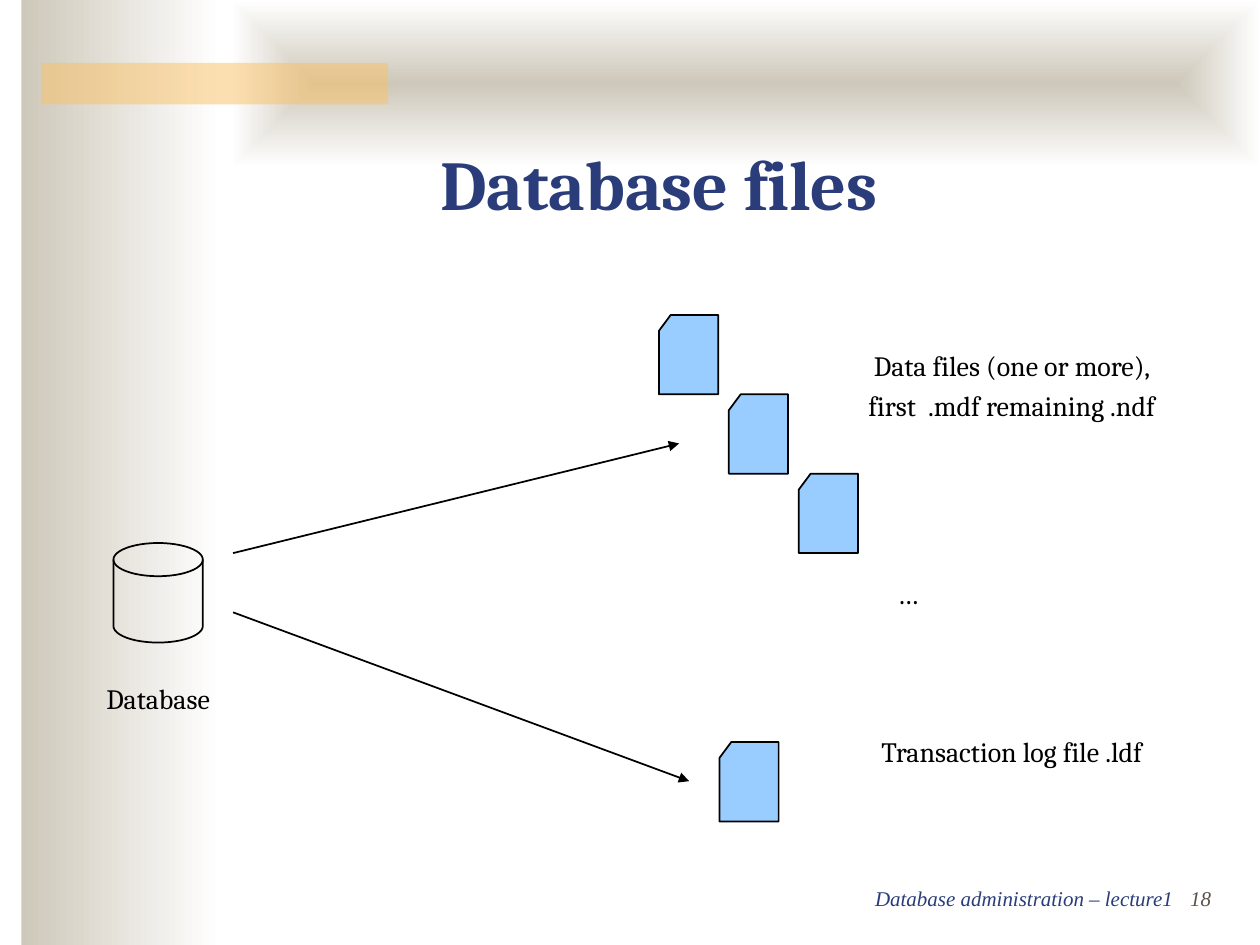
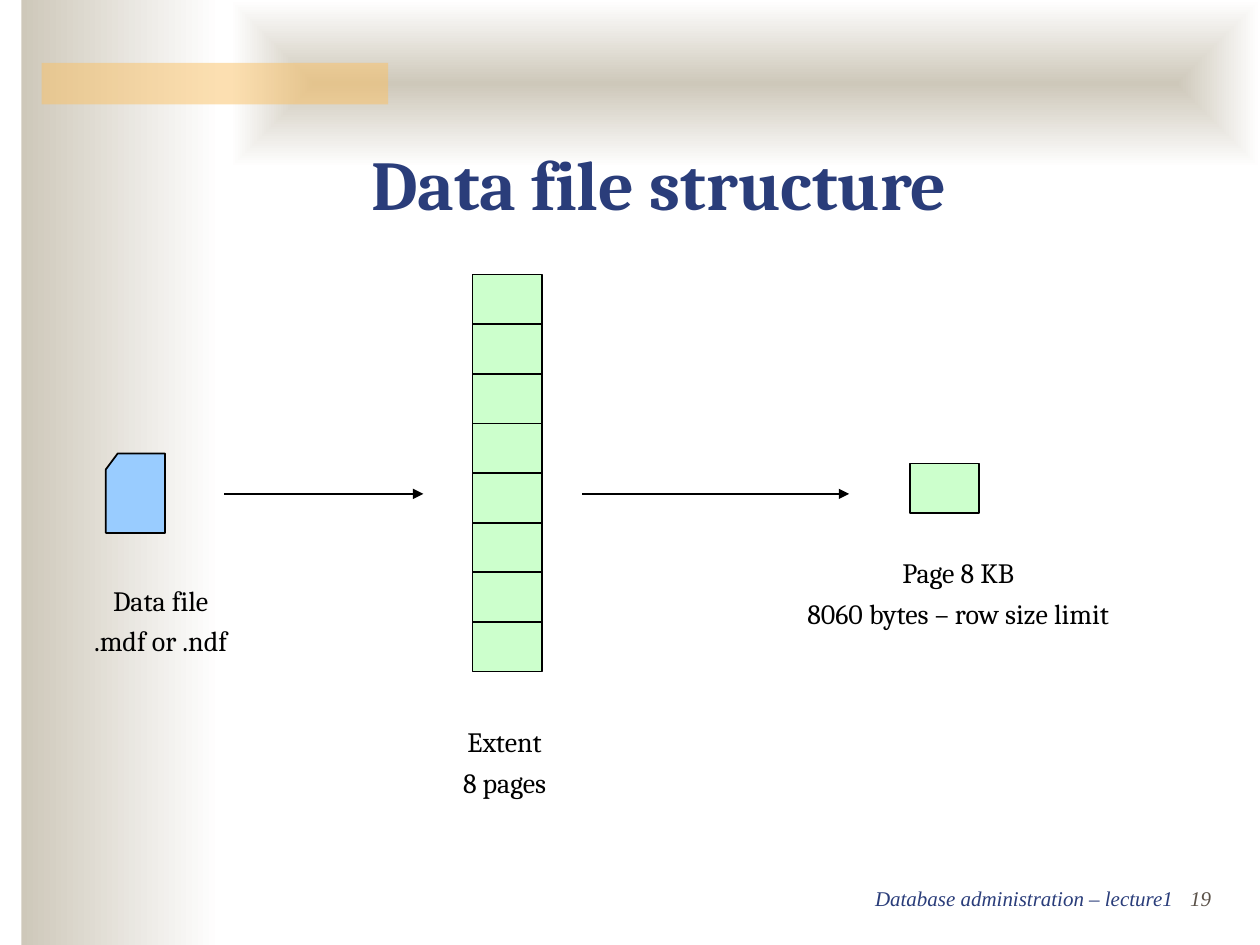
"""Builds two lecture slides on database files and data file structure."""
from lxml import etree
from pptx import Presentation
from pptx import util as u
from pptx.dml.color import RGBColor
from pptx.enum import shapes, text
from pptx.oxml.ns import qn

NAVY, BROWN, SAND, AMBER = "2A3D7A", "5B5249", "CEC8BA", "FAC164"
BLUE, GREEN, BLACK, WHITE = "99CCFF", "CCFFCC", "000000", "FFFFFF"
HEAD_FONT, FOOT_FONT = "Cambria", "Times New Roman"
FOOTER = "Database administration – lecture1\t"
RECT = shapes.MSO_SHAPE.RECTANGLE
CARD = shapes.MSO_SHAPE.FLOWCHART_PUNCHED_TAPE.FLOWCHART_CARD
DISK = shapes.MSO_SHAPE.FLOWCHART_MAGNETIC_DISK
CENTER, RIGHT = text.PP_ALIGN.CENTER, text.PP_ALIGN.RIGHT

FILE_W, FILE_H = 0.47, 0.63
FILE_STEP_X = 0.555
PAGE_W, PAGE_COUNT, EXTENT_H = 0.55, 8, 3.15
PAGE_H = EXTENT_H / PAGE_COUNT

SLIDES = [
    {
        "title": "Database files", "number": "18",
        "disks": [(0.9, 4.31, 0.71, 0.79)],
        "files": [(5.23 + FILE_STEP_X * i, 2.5 + FILE_H * i) for i in range(3)] + [(5.71, 5.89)],
        "pages": [],
        "arrows": [(1.85, 4.39, 5.39, 3.52), (1.85, 4.86, 5.47, 6.2)],
        "labels": [
            ((6.34, 4.47, 1.73, 0.42), "…"),
            ((6.65, 2.66, 2.76, 0.72), "Data files (one or more), first  .mdf remaining .ndf"),
            ((6.65, 5.73, 2.76, 0.4), "Transaction log file .ldf"),
            ((0.39, 5.31, 1.73, 0.42), "Database"),
        ],
    },
    {
        "title": "Data file structure", "number": "19",
        "disks": [],
        "files": [(0.84, 3.6)],
        "pages": [(3.75, 2.18 + PAGE_H * i) for i in range(PAGE_COUNT)] + [(7.22, 3.68)],
        "arrows": [(1.78, 3.92, 3.36, 3.92), (4.62, 3.92, 6.74, 3.92)],
        "labels": [
            ((2.96, 5.65, 2.09, 0.74), "Extent\n8 pages"),
            ((5.4, 4.31, 4.41, 0.74), "Page 8 KB\n8060 bytes – row size limit"),
            ((0.23, 4.53, 2.09, 0.74), "Data file\n.mdf or .ndf"),
        ],
    },
]


def rgb(color):
    return RGBColor.from_string(color)


def inches(values):
    return [u.Inches(v) for v in values]


def add_box(s, kind, at, fill=None, line=None):
    sp = s.shapes.add_shape(kind, *inches(at))
    sp.shadow.inherit = False
    if fill:
        sp.fill.solid()
        sp.fill.fore_color.rgb = rgb(fill)
    else:
        sp.fill.background()
    if line:
        sp.line.color.rgb = rgb(line)
        sp.line.width = u.Pt(1)
    else:
        sp.line.fill.background()
    return sp


def add_fade(s, at, from_center=False):
    sp = add_box(s, RECT, at)
    sp.fill.gradient()
    sp.fill.gradient_angle = 0
    for stop, color, pos in zip(sp.fill.gradient_stops, (SAND, WHITE), (0, 1)):
        stop.color.rgb = rgb(color)
        stop.position = pos
    if from_center:
        grad = sp.element.spPr.find(qn("a:gradFill"))
        grad.remove(grad.find(qn("a:lin")))
        shade = etree.SubElement(grad, qn("a:path"), {"path": "shape"})
        etree.SubElement(shade, qn("a:fillToRect"), dict.fromkeys("ltrb", "50000"))


def add_text(s, at, runs, size, font, align, bold=False, italic=False,
             anchor=text.MSO_ANCHOR.TOP):
    tf = s.shapes.add_textbox(*inches(at)).text_frame
    tf.word_wrap = True
    tf.vertical_anchor = anchor
    p = tf.paragraphs[0]
    p.alignment = align
    for content, color in runs:
        for i, part in enumerate(content.split("\n")):
            if i:
                p.add_line_break()
            r = p.add_run()
            r.text = part
            r.font.size, r.font.name = u.Pt(size), font
            r.font.bold, r.font.italic = bold, italic
            r.font.color.rgb = rgb(color)
    return tf


def add_label(s, at, content):
    tf = add_text(s, at, [(content, BLACK)], 16, HEAD_FONT, CENTER)
    tf.auto_size = text.MSO_AUTO_SIZE.SHAPE_TO_FIT_TEXT
    p = tf.paragraphs[0]
    p.line_spacing = 1.2
    p.space_before = u.Pt(10)


def add_arrow(s, ends):
    c = s.shapes.add_connector(shapes.MSO_CONNECTOR.STRAIGHT, *inches(ends))
    c.line.color.rgb = rgb(BLACK)
    c.line.width = u.Pt(1)
    etree.SubElement(c.line._get_or_add_ln(), qn("a:tailEnd"), {"type": "triangle"})
    etree.SubElement(c.element.spPr, qn("a:effectLst"))


def add_frame(s, title, number):
    add_fade(s, (0.17, 0, 1.58, 7.5))
    add_fade(s, (1.83, 0, 8.17, 1.33), from_center=True)
    bar = add_box(s, RECT, (0.33, 0.5, 2.75, 0.33), AMBER)
    color = next(bar.element.spPr.iter(qn("a:srgbClr")))
    etree.SubElement(color, qn("a:alpha"), {"val": "50000"})
    add_text(s, (0.98, 6.98, 8.73, 0.3), [(FOOTER, NAVY), (number, BROWN)],
             12, FOOT_FONT, RIGHT, italic=True)
    add_text(s, (0.62, 0.58, 9.22, 1.25), [(title, NAVY)], 40, HEAD_FONT, CENTER,
             bold=True, anchor=text.MSO_ANCHOR.BOTTOM)


def main():
    prs = Presentation()
    prs.slide_width, prs.slide_height = inches((10, 7.5))
    for data in SLIDES:
        s = prs.slides.add_slide(prs.slide_layouts[6])
        add_frame(s, data["title"], data["number"])
        for at in data["disks"]:
            add_box(s, DISK, at, line=BLACK)
        for x, y in data["files"]:
            add_box(s, CARD, (x, y, FILE_W, FILE_H), BLUE, BLACK)
        for x, y in data["pages"]:
            add_box(s, RECT, (x, y, PAGE_W, PAGE_H), GREEN, BLACK)
        for ends in data["arrows"]:
            add_arrow(s, ends)
        for at, content in data["labels"]:
            add_label(s, at, content)
    prs.save("out.pptx")


if __name__ == "__main__":
    main()
